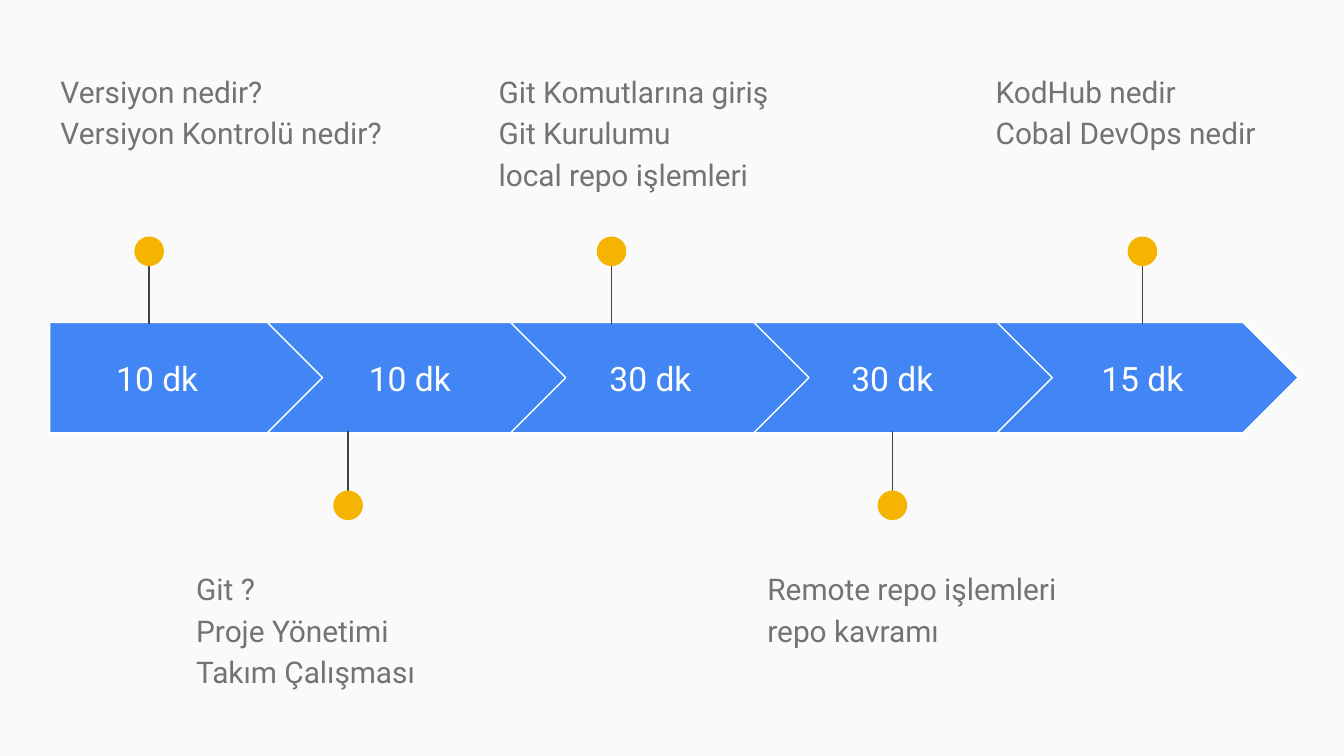
"""Build a training timeline of five timed steps with topics above and below."""
from copy import deepcopy
from dataclasses import dataclass
from typing import Any

from pptx import Presentation
from pptx.dml.color import RGBColor
from pptx.enum.shapes import MSO_CONNECTOR, MSO_SHAPE
from pptx.enum.text import MSO_ANCHOR, MSO_AUTO_SIZE, PP_ALIGN
from pptx.oxml.ns import qn
from pptx.util import Inches, Pt
from lxml.etree import SubElement


@dataclass(frozen=True)
class Theme:
    background: str = "FAFAFA"
    arrow: str = "4285F4"
    outline: str = "FFFFFF"
    stem: str = "424242"
    dot: str = "F4B400"
    label: str = "FFFFFF"
    topic: str = "737373"
    font: str = "Roboto"
    label_size: int = 18
    topic_size: int = 16
    line_width: float = 0.75


@dataclass(frozen=True)
class Step:
    duration: str
    topics: str
    label_center: float
    pin: float
    topics_left: float
    topics_width: float = 2.45
    above: bool = True


THEME = Theme()
STEPS = [
    Step("10 dk", "Versiyon nedir?\nVersiyon Kontrolü nedir?", 1.17, 1.11, 0.35, 2.69),
    Step("10 dk", "Git ?\nProje Yönetimi\nTakım Çalışması", 3.05, 2.59, 1.36, above=False),
    Step("30 dk", "Git Komutlarına giriş\nGit Kurulumu\nlocal repo işlemleri", 4.84, 4.55, 3.61),
    Step("30 dk", "Remote repo işlemleri\nrepo kavramı", 6.64, 6.64, 5.61, above=False),
    Step("15 dk", "KodHub nedir\nCobal DevOps nedir", 8.5, 8.5, 7.31),
]
PAGE_WIDTH = 10
PAGE_HEIGHT = PAGE_WIDTH * 9 / 16
BAND_TOP, BAND_HEIGHT = 2.4, 0.82
ARROW_START, ARROW_STEP, ARROW_WIDTH = 0.18, 1.81, 2.24
FIRST_TRIM = 0.19
LABEL_TOP, LABEL_WIDTH, LABEL_HEIGHT = 2.56, 1.44, 0.51
DOT_SIZE = 0.22


def color(value: str) -> RGBColor:
    return RGBColor.from_string(value)


def move(box: Any, left: float, top: float, width: float, height: float) -> None:
    box.left, box.top = Inches(left), Inches(top)
    box.width, box.height = Inches(width), Inches(height)


def write(box: Any, text: str, *, size: int, ink: str, spacing: float = 1.0,
          align: PP_ALIGN = PP_ALIGN.LEFT, anchor: MSO_ANCHOR = MSO_ANCHOR.TOP) -> None:
    frame = box.text_frame
    frame.word_wrap = True
    frame.auto_size = MSO_AUTO_SIZE.NONE
    frame.vertical_anchor = anchor
    frame.margin_left = frame.margin_right = Inches(0.1)
    frame.margin_top = frame.margin_bottom = Inches(0.1)
    para = frame.paragraphs[0]
    para.text = text
    para.alignment = align
    para.line_spacing = spacing
    para.space_before = para.space_after = Pt(0)
    properties = para._p.get_or_add_pPr()
    properties.set("marL", "0")
    properties.set("indent", "0")
    SubElement(properties, qn("a:buNone"))
    for span in para.runs:
        span.font.name = THEME.font
        span.font.size = Pt(size)
        span.font.bold = False
        span.font.color.rgb = color(ink)
    for line_break in para._p.findall(qn("a:br")):
        line_break.insert(0, deepcopy(para.runs[0]._r.rPr))


def draw_arrow(page: Any, index: int) -> None:
    trim = 0 if index else FIRST_TRIM
    kind = MSO_SHAPE.CHEVRON if index else MSO_SHAPE.PENTAGON
    arrow = page.shapes.add_shape(
        kind, Inches(ARROW_START + ARROW_STEP * index + trim), Inches(BAND_TOP),
        Inches(ARROW_WIDTH - trim), Inches(BAND_HEIGHT))
    arrow.adjustments[0] = 0.5
    arrow.shadow.inherit = False
    arrow.fill.solid()
    arrow.fill.fore_color.rgb = color(THEME.arrow)
    arrow.line.color.rgb = color(THEME.outline)
    arrow.line.width = Pt(THEME.line_width)


def draw_label(page: Any, step: Step) -> None:
    box = page.shapes.add_textbox(0, 0, 0, 0)
    move(box, step.label_center - LABEL_WIDTH / 2, LABEL_TOP, LABEL_WIDTH, LABEL_HEIGHT)
    write(box, step.duration, size=THEME.label_size, ink=THEME.label,
          align=PP_ALIGN.CENTER, anchor=MSO_ANCHOR.MIDDLE)


def draw_pin(page: Any, step: Step) -> None:
    start, end, dot_top = (1.8, 2.41, 1.76) if step.above else (3.82, 3.21, 3.65)
    stem = page.shapes.add_connector(
        MSO_CONNECTOR.STRAIGHT, Inches(step.pin), Inches(start), Inches(step.pin), Inches(end))
    stem.line.color.rgb = color(THEME.stem)
    stem.line.width = Pt(THEME.line_width)
    SubElement(stem._element.spPr, qn("a:effectLst"))
    dot = page.shapes.add_shape(
        MSO_SHAPE.OVAL, Inches(step.pin - DOT_SIZE / 2), Inches(dot_top),
        Inches(DOT_SIZE), Inches(DOT_SIZE))
    dot.shadow.inherit = False
    dot.fill.solid()
    dot.fill.fore_color.rgb = color(THEME.dot)
    dot.line.fill.background()


def draw_topics(box: Any, step: Step) -> None:
    move(box, step.topics_left, 0.41 if step.above else 4.11, step.topics_width, 0.99)
    write(box, step.topics, size=THEME.topic_size, ink=THEME.topic, spacing=1.15)


def main() -> None:
    deck = Presentation()
    deck.slide_width, deck.slide_height = Inches(PAGE_WIDTH), Inches(PAGE_HEIGHT)
    page = deck.slides.add_slide(deck.slide_layouts.get_by_name("Comparison"))
    page.background.fill.solid()
    page.background.fill.fore_color.rgb = color(THEME.background)
    title = page.shapes.title._element
    title.getparent().remove(title)
    bodies = iter(list(page.placeholders))
    for index, step in enumerate(STEPS):
        draw_arrow(page, index)
        draw_label(page, step)
        draw_pin(page, step)
        box = next(bodies, None) or page.shapes.add_textbox(0, 0, 0, 0)
        draw_topics(box, step)
    deck.save("out.pptx")


if __name__ == "__main__":
    main()
